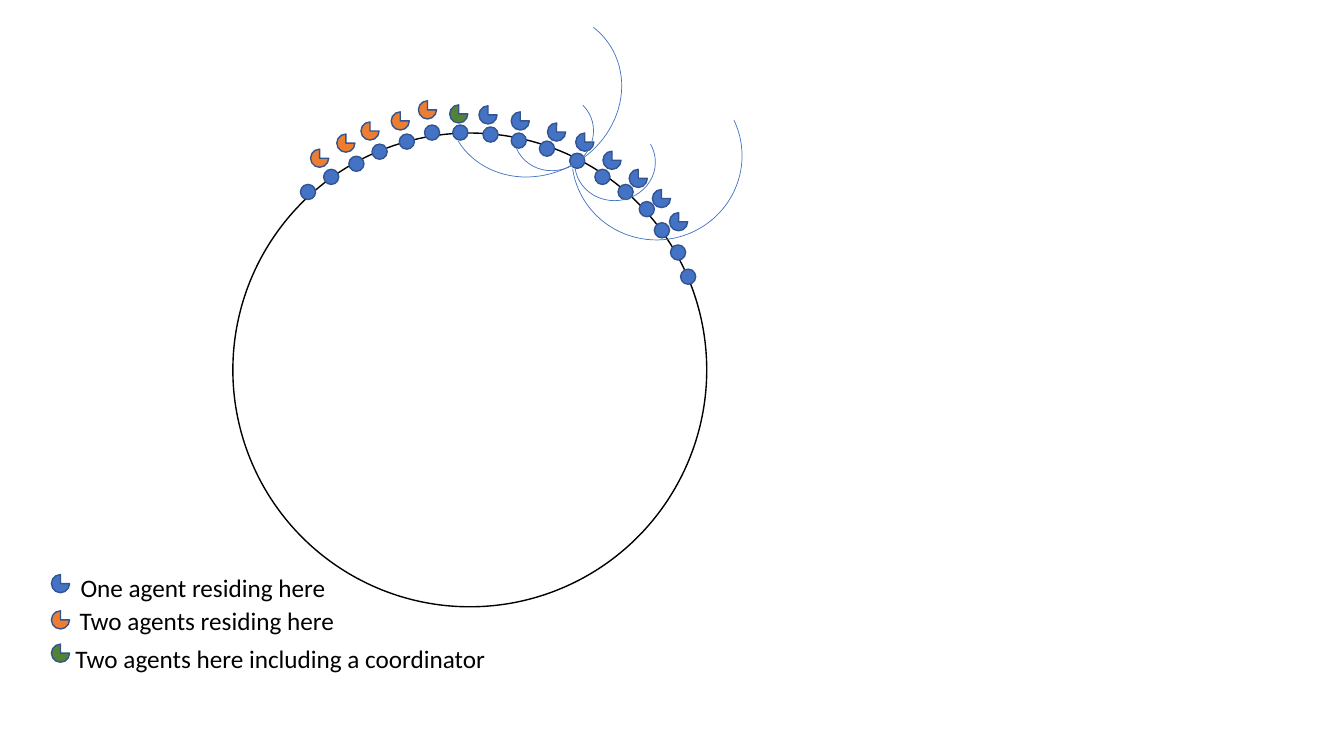
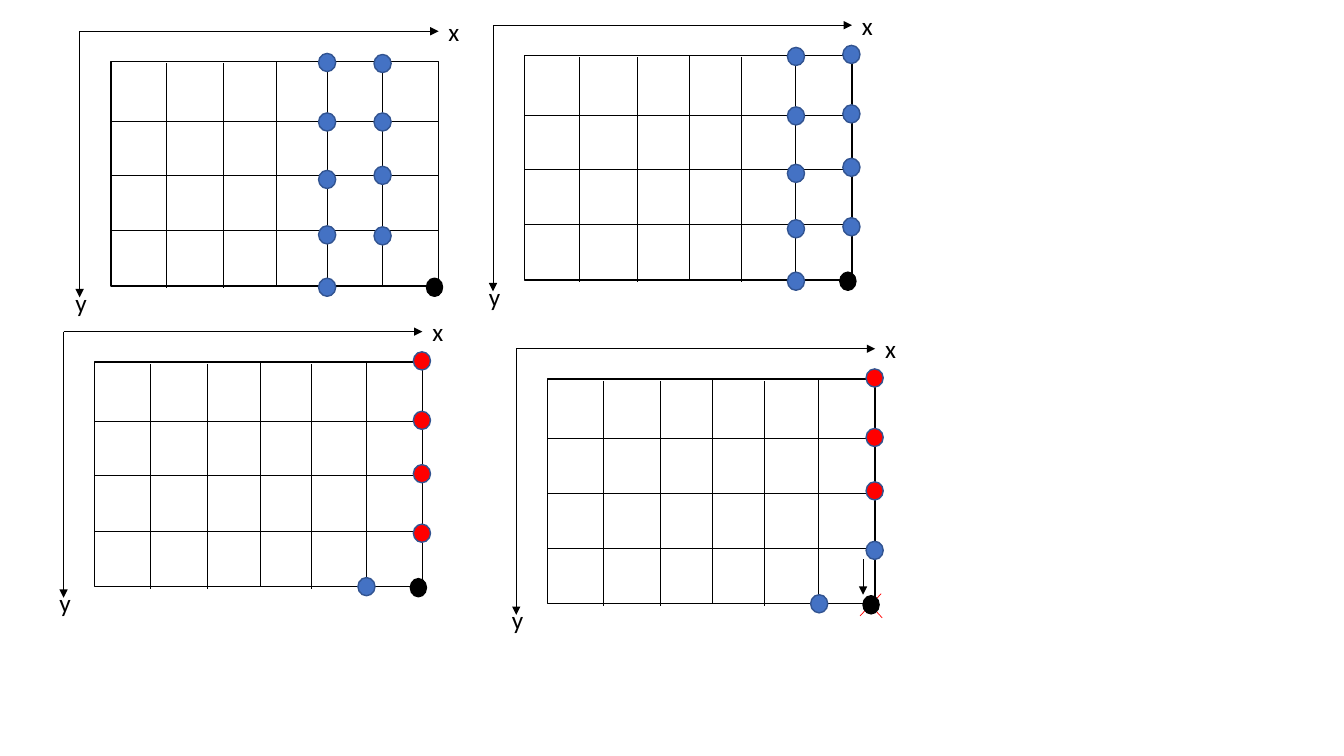
from dataclasses import dataclass

from lxml import etree
from pptx import Presentation
from pptx.dml.color import RGBColor
from pptx.enum.shapes import MSO_CONNECTOR, MSO_SHAPE
from pptx.oxml.ns import qn
from pptx.shapes.autoshape import Shape
from pptx.shapes.connector import Connector
from pptx.shapes.shapetree import GroupShapes, SlideShapes
from pptx.util import Inches, Pt

OVAL, PIE, ARC, RECT = MSO_SHAPE.OVAL, MSO_SHAPE.PIE, MSO_SHAPE.ARC, MSO_SHAPE.RECTANGLE
STRAIGHT = MSO_CONNECTOR.STRAIGHT

BLACK = RGBColor(0x00, 0x00, 0x00)
WHITE = RGBColor(0xFF, 0xFF, 0xFF)
BLUE = RGBColor(0x44, 0x72, 0xC4)
NAVY = RGBColor(0x32, 0x54, 0x91)
ORANGE = RGBColor(0xED, 0x7D, 0x31)
GREEN = RGBColor(0x54, 0x82, 0x35)
RED = RGBColor(0xFF, 0x00, 0x00)

FONT = "Calibri"
SIZE = Pt(18)

Point = tuple[float, float]
Box = tuple[float, float, float, float]
Tree = SlideShapes | GroupShapes


@dataclass(frozen=True)
class Key:
    """One row of the legend."""
    text: str
    fill: RGBColor
    top: float
    spot: Point
    width: float


@dataclass(frozen=True)
class Chord:
    """An arc that links two nodes of the ring."""
    box: Box
    turn: float
    start: float


@dataclass(frozen=True)
class Stack:
    """A column of dots; places are relative to the grid."""
    left: float
    tops: tuple[float, ...]
    fills: tuple[RGBColor, ...]


@dataclass(frozen=True)
class Panel:
    """A grid with its axes and dots."""
    left: float
    top: float
    stacks: tuple[Stack, ...]


# Ring: nodes, agents, chords and legend
RING: Box = (2.31, 1.32, 4.7, 4.7)
NODE, AGENT = 0.15, 0.18
NODES: list[Point] = [
    (2.98, 1.83), (3.21, 1.68), (3.46, 1.55), (3.69, 1.43), (3.96, 1.33), (4.21, 1.24),
    (4.49, 1.24), (4.79, 1.26), (5.07, 1.32), (5.35, 1.4), (5.65, 1.52), (5.9, 1.68),
    (6.13, 1.83), (6.34, 2.0), (6.49, 2.21), (6.65, 2.43), (6.75, 2.67),
]
AGENTS: dict[RGBColor, list[Point]] = {
    ORANGE: [(3.08, 1.48), (3.34, 1.33), (3.58, 1.21), (3.88, 1.11), (4.15, 1.0)],
    GREEN: [(4.46, 1.04)],
    BLUE: [(4.75, 1.05), (5.07, 1.11), (5.43, 1.22), (5.71, 1.32), (5.98, 1.5),
           (6.24, 1.68), (6.47, 1.88), (6.64, 2.11)],
}
CHORDS = [
    Chord((5.7, 1.24, 0.8, 0.75), 172.8, 159.69),
    Chord((5.09, 0.94, 0.8, 0.75), 157.4, 159.69),
    Chord((5.67, 0.72, 1.69, 1.66), 171.6, 163.29),
    Chord((4.41, 0.13, 1.78, 1.6), 148.3, 163.29),
]
KEYS = [
    Key("One agent residing here", BLUE, 5.7, (0.7, 5.63), 2.71),
    Key("Two agents residing here", ORANGE, 6.06, (0.69, 5.96), 3.15),
    Key("Two agents here including a coordinator", GREEN, 6.39, (0.65, 6.33), 4.29),
]

# Grids: line places and dot columns
WIDE, HIGH = 3.25, 2.23
ROWS = (0.59, 1.13, 1.68)
COLS = ((0.55, 0.02), (1.12, 0.02), (1.64, 0.0), (2.15, 0.02), (2.69, 0.0))
DOT = (0.17, 0.18)
FULL = (-0.08, 0.51, 1.08, 1.63, 2.15)
NEAR = (-0.07, 0.51, 1.04, 1.64)
EDGE = (-0.1, 0.49, 1.02, 1.61)
FOOT = Stack(2.61, (2.14,), (BLUE,))
PANELS = [
    Panel(1.1, 0.61, (Stack(2.06, FULL, (BLUE,) * 5), Stack(2.61, NEAR, (BLUE,) * 4))),
    Panel(5.2, 0.55, (Stack(2.61, FULL, (BLUE,) * 5), Stack(3.16, EDGE, (BLUE,) * 4))),
    Panel(0.94, 3.59, (FOOT, Stack(3.16, EDGE, (RED,) * 4))),
    Panel(5.43, 3.76, (FOOT, Stack(3.16, EDGE, (RED,) * 3 + (BLUE,)))),
]


def add_form(tree: Tree, kind: MSO_SHAPE, box: Box, fill: RGBColor | None,
             edge: RGBColor = NAVY, weight: float = 1) -> Shape:
    form = tree.add_shape(kind, *map(Inches, box))
    form.shadow.inherit = False
    if fill is None:
        form.fill.background()
    else:
        form.fill.solid()
        form.fill.fore_color.rgb = fill
    form.line.color.rgb = edge
    form.line.width = Pt(weight)
    return form


def add_line(tree: Tree, start: Point, end: Point, color: RGBColor = BLACK,
             arrow: bool = False) -> Connector:
    line = tree.add_connector(STRAIGHT, *map(Inches, start + end))
    line.line.color.rgb = color
    line.line.width = Pt(0.5)
    if arrow:
        etree.SubElement(line.line._get_or_add_ln(), qn("a:tailEnd"), type="triangle")
    etree.SubElement(line._element.spPr, qn("a:effectLst"))
    return line


def add_label(tree: Tree, text: str, box: Box) -> None:
    frame = tree.add_textbox(*map(Inches, box)).text_frame
    frame.word_wrap = True
    run = frame.paragraphs[0].add_run()
    run.text = text
    run.font.name = FONT
    run.font.size = SIZE
    run.font.color.rgb = BLACK


def add_agent(tree: Tree, spot: Point, fill: RGBColor) -> None:
    add_form(tree, PIE, (*spot, AGENT, AGENT), fill)


def draw_ring(tree: Tree) -> None:
    add_form(tree, OVAL, RING, WHITE, BLACK)
    for spot in NODES:
        add_form(tree, OVAL, (*spot, NODE, NODE), BLUE)
    for fill, spots in AGENTS.items():
        for spot in spots:
            add_agent(tree, spot, fill)
    for chord in CHORDS:
        arc = add_form(tree, ARC, chord.box, None, BLUE, 0.5)
        arc.rotation = chord.turn
        # Angles are stored in 60000ths of a degree, scaled by 100000 here
        arc.adjustments[0] = chord.start * 0.6
    for key in KEYS:
        add_agent(tree, (0.51, key.top), key.fill)
        add_label(tree, key.text, (*key.spot, key.width, 0.4))


def draw_panel(tree: Tree, panel: Panel) -> None:
    def at(x: float, y: float) -> Point:
        return panel.left + x, panel.top + y

    # Grid
    add_form(tree, RECT, (*at(0, 0), WIDE, HIGH), WHITE, BLACK)
    for row in ROWS:
        add_line(tree, at(0, row), at(WIDE, row))
    for col, drop in COLS:
        add_line(tree, at(col, drop), at(col, HIGH + drop))

    # Axes
    start = at(-0.31, -0.3)
    add_line(tree, start, at(-0.31, 2.34), arrow=True)
    add_line(tree, start, at(WIDE, -0.3), arrow=True)
    add_label(tree, "y", (*at(-0.45, 2.19), 0.23, 0.28))
    add_label(tree, "x", (*at(WIDE, -0.5), 0.36, 0.4))

    # Dots
    add_form(tree, OVAL, (*at(3.13, 2.15), 0.16, 0.18), BLACK, BLACK)
    for stack in panel.stacks:
        for top, fill in zip(stack.tops, stack.fills):
            add_form(tree, OVAL, (*at(stack.left, top), *DOT), fill)


def main() -> None:
    deck = Presentation()
    deck.slide_width, deck.slide_height = Inches(13.33), Inches(7.5)
    blank = deck.slide_layouts[6]

    draw_ring(deck.slides.add_slide(blank).shapes)

    page = deck.slides.add_slide(blank).shapes
    # The cross lies behind the last grid
    add_line(page, (8.53, 5.89), (8.75, 6.13), RED)
    add_line(page, (8.74, 5.89), (8.53, 6.11), RED)
    for panel in PANELS:
        draw_panel(page.add_group_shape().shapes, panel)
    add_line(page, (8.56, 5.55), (8.56, 5.9), arrow=True)

    deck.save("out.pptx")


if __name__ == "__main__":
    main()
